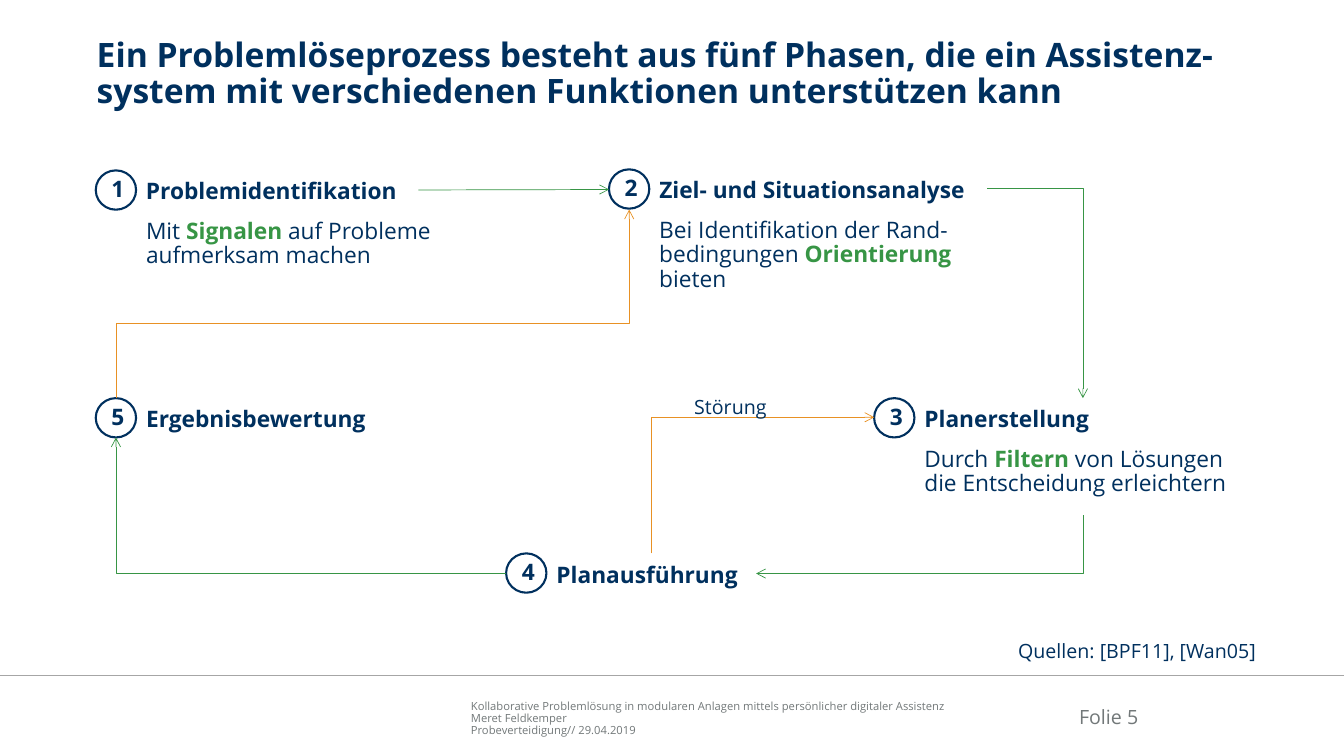
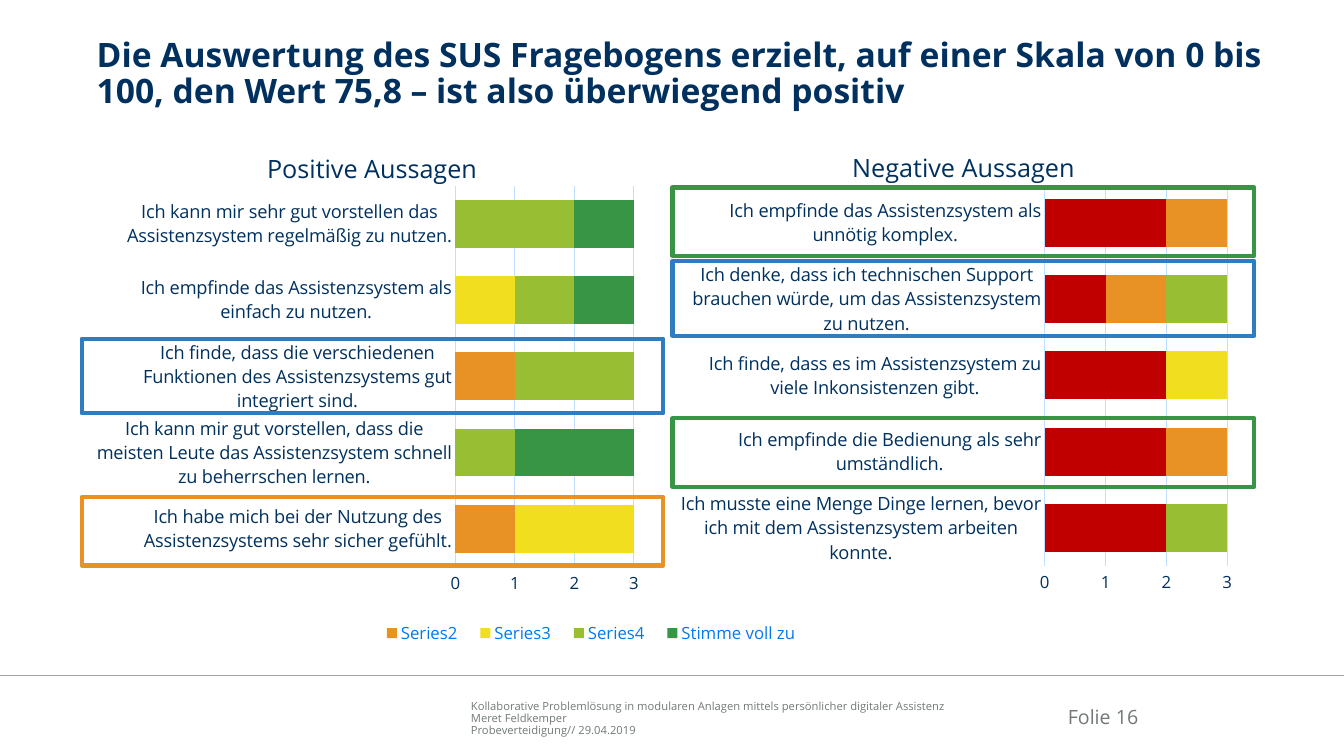
"""Build two slides: the phases of problem solving and the SUS survey results."""
from lxml.etree import SubElement
from pptx import Presentation
from pptx.chart.data import CategoryChartData
from pptx.dml.color import RGBColor
from pptx.enum.chart import XL_CHART_TYPE, XL_LEGEND_POSITION, XL_TICK_MARK
from pptx.enum.shapes import MSO_CONNECTOR, MSO_SHAPE
from pptx.enum.text import MSO_ANCHOR, PP_ALIGN
from pptx.oxml import parse_xml
from pptx.oxml.ns import nsdecls, qn
from pptx.util import Pt

PX = 9144
FONT = "Open Sans"
NAVY, GREEN, ORANGE, BLUE = "00305E", "379545", "E89124", "307CC0"
GREY, RULE, PALE, LINK = "727879", "A6A6A6", "C1E0FF", "007AF0"
SCALE = [("Stimme gar nicht zu", "C00000"), ("Series2", ORANGE),
         ("Series3", "F1DE1E"), ("Series4", "98BF33"),
         ("Stimme voll zu", GREEN)]
rgb = RGBColor.from_string


def text(slide, words, box, form=None, size=16.2, color=NAVY, bold=False,
         align=PP_ALIGN.LEFT, anchor=MSO_ANCHOR.TOP, pad=(0, 0, 0, 0), space=0.9):
    """Write words in a box; parts between asterisks are bold green."""
    area = [v * PX for v in box]
    if form is None:
        shape = slide.shapes.add_textbox(*area)
    else:
        shape = slide.shapes.add_shape(form, *area)
        shape.shadow.inherit = False
        shape.fill.background()
    frame = shape.text_frame
    frame.word_wrap = True
    frame.vertical_anchor = anchor
    (frame.margin_left, frame.margin_top,
     frame.margin_right, frame.margin_bottom) = [v * PX for v in pad]
    for i, row in enumerate(words.split("\n")):
        para = frame.add_paragraph() if i else frame.paragraphs[0]
        para.alignment = align
        para.line_spacing = space
        for j, part in enumerate(row.split("*")):
            run = para.add_run()
            run.text = part
            run.font.name, run.font.size = FONT, Pt(size)
            run.font.bold = bold or j % 2 == 1
            run.font.color.rgb = rgb(GREEN if j % 2 else color)
    return shape


def link(slide, start, end, color, width=0.5, arrow=True, turn=0, flip=False,
         bend=None, adjust=None):
    """Draw a straight line, or a bent connector turned about its centre."""
    (x, y), (u, v) = start, end
    if bend:
        wide, high = abs(u - x), abs(v - y)
        if turn % 180:
            wide, high = high, wide
        mid, level = (x + u) / 2, (y + v) / 2
        x, u = mid - wide / 2, mid + wide / 2
        y, v = level - high / 2, level + high / 2
    kind = MSO_CONNECTOR.ELBOW if bend else MSO_CONNECTOR.STRAIGHT
    wire = slide.shapes.add_connector(kind, *[int(n * PX) for n in (x, y, u, v)])
    wire.line.color.rgb = rgb(color)
    wire.line.width = Pt(width)
    props = wire._element.spPr
    if bend:
        frame = props.find(qn("a:xfrm"))
        frame.set("rot", str(turn * 60000))
        if flip:
            frame.set("flipH", "1")
            frame.set("flipV", "1")
        shape = props.find(qn("a:prstGeom"))
        shape.set("prst", bend)
        if adjust:
            SubElement(shape.find(qn("a:avLst")), qn("a:gd"),
                       name="adj1", fmla=f"val {adjust}")
    if arrow:
        SubElement(props.find(qn("a:ln")), qn("a:tailEnd"), type="arrow")
    SubElement(props, qn("a:effectLst"))
    return wire


deck = Presentation()
deck.slide_width, deck.slide_height = 1333 * PX, 750 * PX

heads = [
    ("Ein Problemlöseprozess besteht aus fünf Phasen, die ein Assistenz-system "
     "mit verschiedenen Funktionen unterstützen kann", "Folie 5"),
    ("Die Auswertung des SUS Fragebogens erzielt, auf einer Skala von 0 bis 100, "
     "den Wert 75,8 – ist also überwiegend positiv", "Folie 16"),
]
for title, folio in heads:
    slide = deck.slides.add_slide(deck.slide_layouts[6])
    text(slide, title, (96, 38, 1157, 75), size=24, bold=True)
    link(slide, (0, 670), (1333, 670), RULE, width=1, arrow=False)
    text(slide, "Kollaborative Problemlösung in modularen Anlagen mittels "
         "persönlicher digitaler Assistenz\nMeret Feldkemper\n"
         "Probeverteidigung// 29.04.2019", (467, 691, 491, 40),
         size=8, color=GREY, anchor=MSO_ANCHOR.BOTTOM)
    text(slide, folio, (1030, 697, 99, 30), size=14, color=GREY,
         align=PP_ALIGN.RIGHT, anchor=MSO_ANCHOR.MIDDLE)
cycle, survey = deck.slides

phases = [
    (95, 169, "Problemidentifikation", 280,
     "Mit *Signalen *auf Probleme aufmerksam machen", 315),
    (604, 168, "Ziel- und Situationsanalyse", 335,
     "Bei Identifikation der Rand-bedingungen *Orientierung *bieten", 356),
    (867, 395, "Planerstellung", 334,
     "Durch *Filtern *von Lösungen die Entscheidung erleichtern", 334),
    (502, 549, "Planausführung", 208, "", 0),
    (95, 395, "Ergebnisbewertung", 249, "", 0),
]
labels = []
for number, (x, y, name, wide, note, span) in enumerate(phases, 1):
    badge = text(cycle, str(number), (x, y, 40, 39), form=MSO_SHAPE.OVAL, bold=True,
                 align=PP_ALIGN.CENTER, anchor=MSO_ANCHOR.MIDDLE, pad=(4, 0, 0, 0))
    badge.line.color.rgb = rgb(NAVY)
    badge.line.width = Pt(1.5)
    labels.append(text(cycle, name, (x + 40, y, wide, 39), bold=True,
                       anchor=MSO_ANCHOR.MIDDLE, pad=(10, 10, 10, 5)))
    if note:
        text(cycle, note, (x + 40, y + 39, span, 82), pad=(10, 10, 10, 5))

link(cycle, (415, 189), (604, 188), GREEN).begin_connect(labels[0], 3)
bends = [
    ((979, 187), (1074, 395), GREEN, 0, False, "bentConnector2", None),
    ((1074, 511), (750, 569), GREEN, 90, False, "bentConnector2", None),
    ((646, 549), (867, 414), ORANGE, 90, True, "bentConnector2", None),
    ((502, 569), (115, 434), GREEN, 180, False, "bentConnector2", None),
    ((115, 395), (624, 208), ORANGE, 90, True, "bentConnector3", 39900),
]
for start, end, color, turn, flip, bend, adjust in bends:
    link(cycle, start, end, color, turn=turn, flip=flip, bend=bend, adjust=adjust)
text(cycle, "Störung", (629, 375, 191, 38), size=14, align=PP_ALIGN.CENTER,
     pad=(10, 5, 10, 5), space=1.5)
text(cycle, "Quellen: [BPF11], [Wan05]", (1000, 632, 324, 34), size=14,
     pad=(10, 5, 10, 5))

charts = [
    ("Positive Aussagen", (96, 121, 710, 526), 0.5, 0.23, True, [
        ("Ich habe mich bei der Nutzung des Assistenzsystems sehr sicher gefühlt.",
         (None, 1, 2, None, None)),
        ("Ich kann mir gut vorstellen, dass die meisten Leute das Assistenzsystem "
         "schnell zu beherrschen lernen.", (None, None, None, 1, 2)),
        ("Ich finde, dass die verschiedenen Funktionen des Assistenzsystems gut "
         "integriert sind.", (None, 1, None, 2, None)),
        ("Ich empfinde das Assistenzsystem als einfach zu nutzen.",
         (None, None, 1, 1, 1)),
        ("Ich kann mir sehr gut vorstellen das Assistenzsystem regelmäßig zu nutzen.",
         (None, None, None, 2, 1))]),
    ("Negative Aussagen", (667, 120, 724, 526), 0.51, 0.24, False, [
        ("Ich musste eine Menge Dinge lernen, bevor ich mit dem Assistenzsystem "
         "arbeiten konnte.", (2, None, None, 1, None)),
        ("Ich empfinde die Bedienung als sehr umständlich.",
         (2, 1, None, None, None)),
        ("Ich finde, dass es im Assistenzsystem zu viele Inkonsistenzen gibt.",
         (2, None, 1, None, None)),
        ("Ich denke, dass ich technischen Support brauchen würde, um das "
         "Assistenzsystem zu nutzen.", (1, 1, None, 1, None)),
        ("Ich empfinde das Assistenzsystem als unnötig komplex.",
         (2, 1, None, None, None))]),
]
for name, box, left, shift, legend, rows in charts:
    data = CategoryChartData()
    data.categories = [row[0] for row in rows]
    for i, (grade, _) in enumerate(SCALE):
        data.add_series(grade, [row[1][i] for row in rows])
    chart = survey.shapes.add_chart(XL_CHART_TYPE.BAR_STACKED,
                                    *[v * PX for v in box], data).chart
    chart.font.name, chart.font.size = FONT, Pt(10)
    chart.font.color.rgb = rgb(NAVY)

    plot = chart.plots[0]
    plot.gap_width, plot.overlap = 60, 100
    plot.vary_by_categories = False
    for series, (_, color) in zip(plot.series, SCALE):
        series.format.fill.solid()
        series.format.fill.fore_color.rgb = rgb(color)

    items, marks = chart.category_axis, chart.value_axis
    for axis, size in ((items, 13), (marks, 12)):
        axis.major_tick_mark = axis.minor_tick_mark = XL_TICK_MARK.NONE
        font = axis.tick_labels.font
        font.name, font.size = FONT, Pt(size)
        font.color.rgb = rgb(NAVY)
    marks.minimum_scale, marks.maximum_scale, marks.major_unit = 0, 3, 1
    marks.format.line.fill.background()
    marks.has_major_gridlines = True
    for line in (items.format.line, marks.major_gridlines.format.line):
        line.color.rgb = rgb(PALE)
        line.width = Pt(0.75)

    chart.has_title = True
    chart.chart_title.include_in_layout = False
    frame = chart.chart_title.text_frame
    frame.text = name
    font = frame.paragraphs[0].runs[0].font
    font.name, font.size, font.bold = FONT, Pt(18), False
    font.color.rgb = rgb(NAVY)

    places = [(chart._chartSpace.chart.plotArea, {"x": left, "y": 0.12, "w": 0.25, "h": 0.72}),
              (chart.chart_title._element, {"x": shift, "y": 0.04})]
    chart.has_legend = legend
    if legend:
        key = chart.legend
        key.position = XL_LEGEND_POSITION.BOTTOM
        key.include_in_layout = False
        key.font.name, key.font.size = FONT, Pt(12)
        key.font.color.rgb = rgb(LINK)
        key._element.find(qn("c:legendPos")).addnext(parse_xml(
            f'<c:legendEntry {nsdecls("c")}><c:idx val="4"/>'
            '<c:delete val="1"/></c:legendEntry>'))
        places.append((key._element, {"x": 0.38, "y": 0.95, "w": 0.62, "h": 0.05}))
    for part, spots in places:
        for old in part.findall(qn("c:layout")):
            part.remove(old)
        inner = '<c:layoutTarget val="inner"/>' if part is places[0][0] else ""
        modes = "".join(f'<c:{k}Mode val="edge"/>' for k in "xy")
        sizes = "".join(f'<c:{k} val="{v}"/>' for k, v in spots.items())
        layout = parse_xml(f'<c:layout {nsdecls("c")}><c:manualLayout>{inner}'
                           f'{modes}{sizes}</c:manualLayout></c:layout>')
        cover = part.find(qn("c:overlay"))
        if cover is None:
            part.insert(0, layout)
        else:
            cover.addprevious(layout)

frames = [(667, 186, 68, GREEN), (667, 415, 68, GREEN), (81, 493, 68, ORANGE),
          (667, 259, 74, BLUE), (81, 336, 74, BLUE)]
for x, y, high, color in frames:
    frame = survey.shapes.add_shape(MSO_SHAPE.RECTANGLE,
                                    *[v * PX for v in (x, y, 577, high)])
    frame.shadow.inherit = False
    frame.fill.background()
    frame.line.color.rgb = rgb(color)
    frame.line.width = Pt(3)

deck.save("out.pptx")
